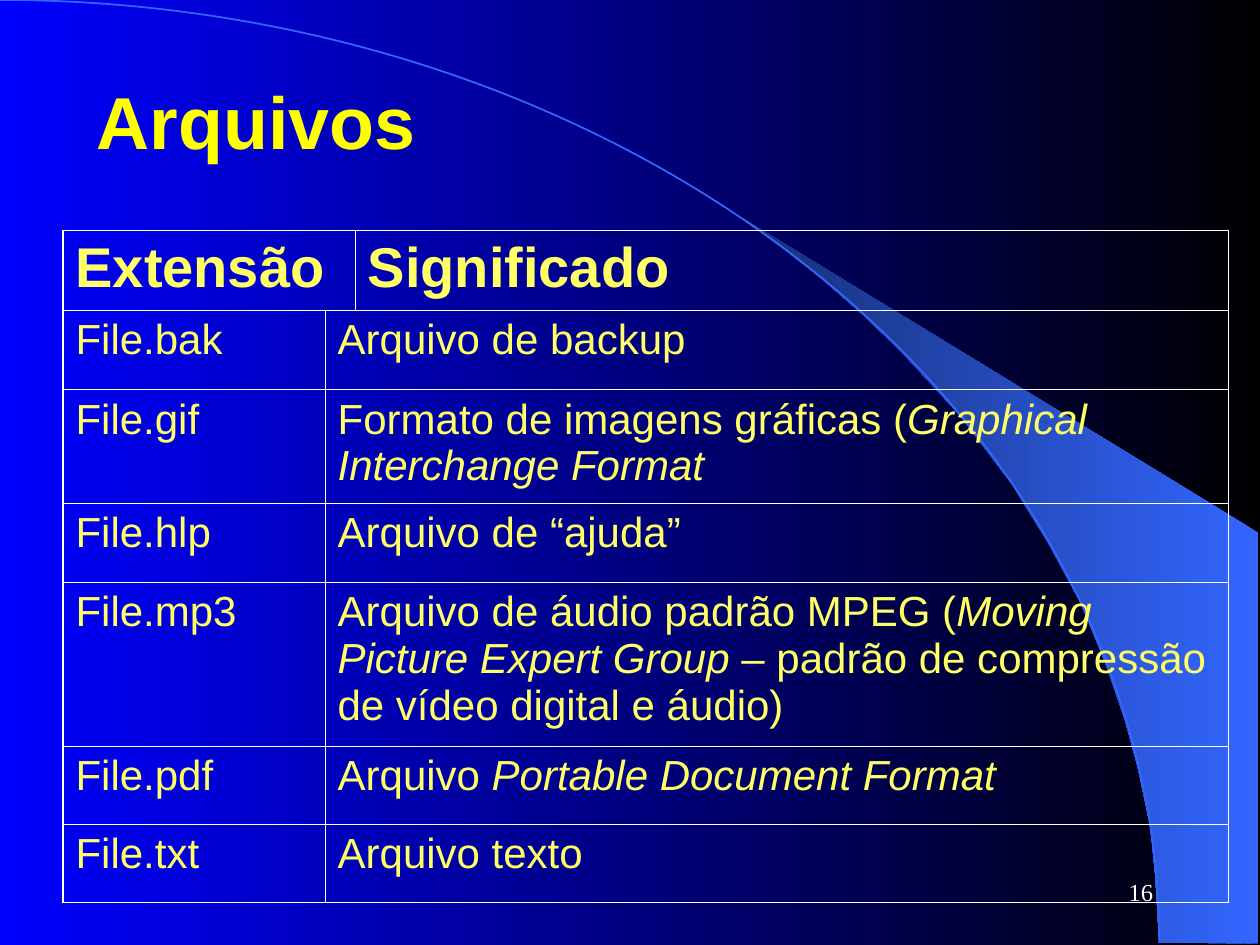
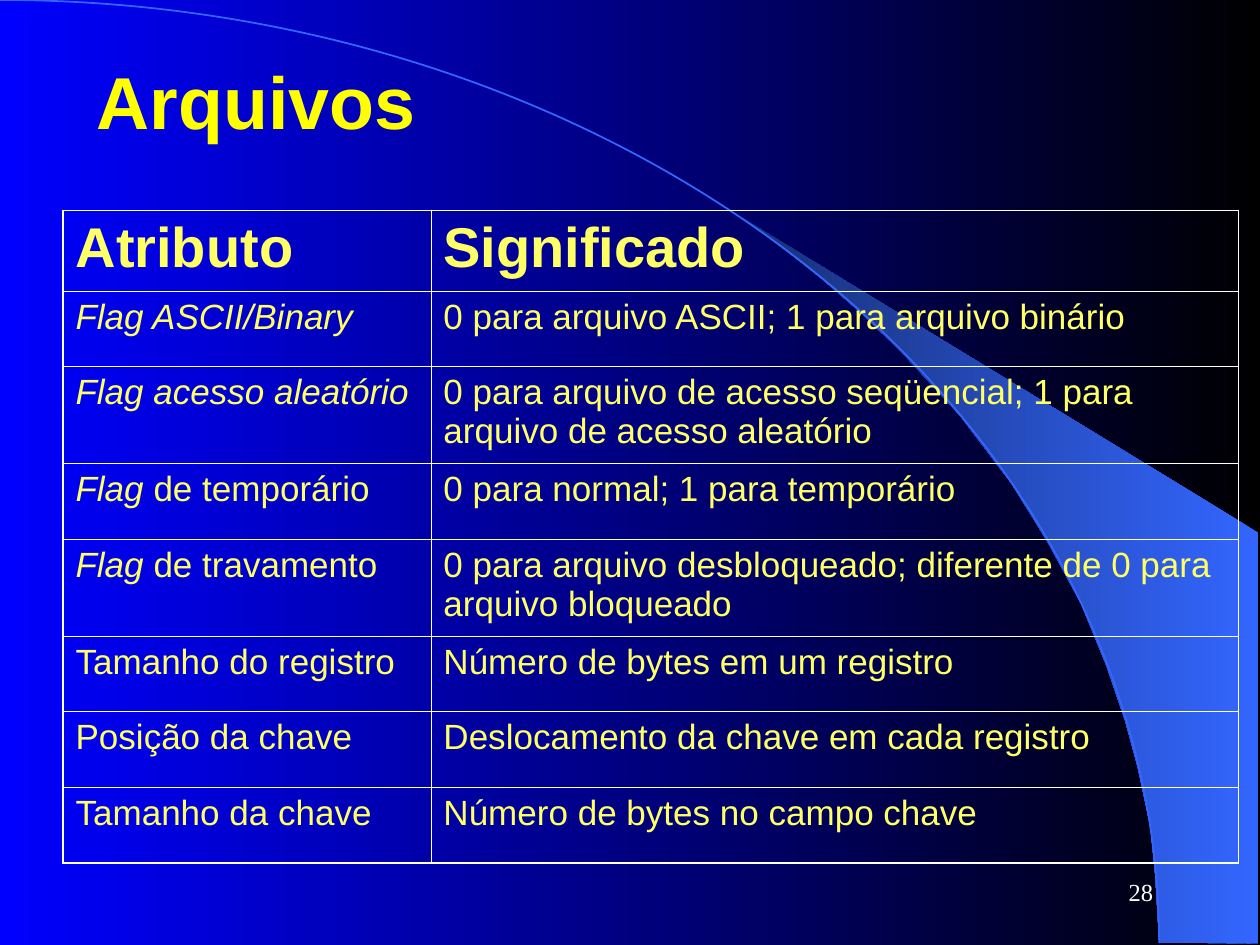
import pptx
import pptx.util
from lxml import etree
from pptx.dml.color import RGBColor
from pptx.enum.shapes import MSO_SHAPE
from pptx.enum.text import MSO_ANCHOR, PP_ALIGN
from pptx.oxml.ns import qn
from pptx.util import Inches

BLACK = RGBColor(0x00, 0x00, 0x00)
BLUE = RGBColor(0x00, 0x00, 0xFF)
SKY = RGBColor(0x33, 0x66, 0xFF)
NAVY = RGBColor(0x17, 0x2F, 0x75)
YELLOW = RGBColor(0xFF, 0xFF, 0x00)
PALE_YELLOW = RGBColor(0xFF, 0xFF, 0x66)
WHITE = RGBColor(0xFF, 0xFF, 0xFF)

OUTER, INNER = 1.08, 0.45  # table line widths in points

# Hundredths of an inch
CRESCENT = [
    (920, 748), (999, 749), (999, 423), (589, 173), (624, 199), (653, 222),
    (685, 250), (716, 280), (762, 330), (803, 384), (832, 431), (858, 479),
    (878, 528), (893, 572), (903, 609), (913, 656), (917, 696),
]

# Asterisks enclose italics; None continues the cell on its left.
EXTENSIONS = [
    ("Extensão", None, "Significado"),
    ("File.bak", "Arquivo de backup", None),
    ("File.gif", "Formato de imagens gráficas (*Graphical Interchange Format*", None),
    ("File.hlp", "Arquivo de “ajuda”", None),
    ("File.mp3", "Arquivo de áudio padrão MPEG (*Moving Picture Expert Group*"
                 " – padrão de compressão de vídeo digital e áudio)", None),
    ("File.pdf", "Arquivo *Portable Document Format*", None),
    ("File.txt", "Arquivo texto", None),
]
ATTRIBUTES = [
    ("Atributo", "Significado"),
    ("*Flag ASCII/Binary*", "0 para arquivo ASCII; 1 para arquivo binário"),
    ("*Flag acesso aleatório*",
     "0 para arquivo de acesso seqüencial; 1 para arquivo de acesso aleatório"),
    ("*Flag* de temporário", "0 para normal; 1 para temporário"),
    ("*Flag* de travamento",
     "0 para arquivo desbloqueado; diferente de 0 para arquivo bloqueado"),
    ("Tamanho do registro", "Número de bytes em um registro"),
    ("Posição da chave", "Deslocamento da chave em cada registro"),
    ("Tamanho da chave", "Número de bytes no campo chave"),
]


def set_gradient(fill, start, end):
    """Blend from start at the right to end at the left."""
    fill.gradient()
    fill.gradient_angle = 180
    for stop, color in zip(fill.gradient_stops, (start, end)):
        stop.color.rgb = color


def set_font(font, name, size, color, bold=False):
    font.name = name
    font.size = pptx.util.Pt(size)
    font.color.rgb = color
    font.bold = bold


def add_backdrop(s):
    set_gradient(s.background.fill, BLACK, BLUE)
    builder = s.shapes.build_freeform(*CRESCENT[0], scale=Inches(0.01))
    builder.add_line_segments(CRESCENT[1:], close=True)
    crescent = builder.convert_to_shape()
    crescent.shadow.inherit = False
    set_gradient(crescent.fill, SKY, NAVY)
    crescent.line.fill.background()

    arc = s.shapes.add_shape(MSO_SHAPE.ARC, Inches(-9.2), 0, Inches(18.4), Inches(14.97))
    arc.shadow.inherit = False
    arc.fill.background()
    arc.line.color.rgb = SKY
    arc.line.width = pptx.util.Pt(1)


def add_text(s, text, box, font, align=PP_ALIGN.LEFT):
    tf = s.shapes.add_textbox(*map(Inches, box)).text_frame
    tf.word_wrap = True
    tf.vertical_anchor = MSO_ANCHOR.MIDDLE
    tf.text = text
    p = tf.paragraphs[0]
    p.alignment = align
    set_font(p.runs[0].font, *font)


def set_borders(cell, widths):
    tc_pr = cell._tc.get_or_add_tcPr()
    for side, width in widths.items():
        ln = etree.SubElement(tc_pr, qn(f"a:ln{side}"), w=str(pptx.util.Pt(width)))
        fill = etree.SubElement(ln, qn("a:solidFill"))
        etree.SubElement(fill, qn("a:srgbClr"), val=str(WHITE))


def fill_cell(cell, text, size, bold):
    p = cell.text_frame.paragraphs[0]
    for i, part in enumerate(text.split("*")):
        if part:
            r = p.add_run()
            r.text = part
            set_font(r.font, "Arial", size, PALE_YELLOW, bold)
            r.font.italic = i % 2 == 1


def add_grid(s, top, rows, widths, heights, body_size):
    n_rows, n_cols = len(rows), len(widths)
    table = s.shapes.add_table(n_rows, n_cols, Inches(0.5), Inches(top),
                               Inches(sum(widths)), Inches(sum(heights))).table
    table.first_row = table.horz_banding = False
    for column, width in zip(table.columns, widths):
        column.width = Inches(width)
    for row, height in zip(table.rows, heights):
        row.height = Inches(height)
    for i, texts in enumerate(rows):
        for j, text in enumerate(texts):
            if text is None:
                table.cell(i, j - 1).merge(table.cell(i, j))
        for j, text in enumerate(texts):
            cell = table.cell(i, j)
            if text is not None:
                fill_cell(cell, text, body_size if i else 32, bold=i == 0)
                last_col = j + cell.span_width == n_cols
                set_borders(cell, {
                    "L": INNER if j else OUTER,
                    "R": OUTER if last_col else INNER,
                    "T": INNER if i else OUTER,
                    "B": OUTER if i == n_rows - 1 else INNER,
                })
            cell.fill.background()


def add_table_slide(prs, top, number, rows, widths, heights, body_size):
    s = prs.slides.add_slide(prs.slide_layouts[6])
    add_backdrop(s)
    add_text(s, "Arquivos", (0.67, top, 9, 1.25), ("Arial", 42, YELLOW, True))
    add_grid(s, top + 1.5, rows, widths, heights, body_size)
    add_text(s, str(number), (7.17, 6.83, 2.08, 0.5),
             ("Times New Roman", 14, WHITE), PP_ALIGN.RIGHT)


def main():
    prs = pptx.Presentation()
    prs.slide_width, prs.slide_height = Inches(10), Inches(7.5)
    add_table_slide(prs, 0.33, 16, EXTENSIONS, [2.08, 0.24, 6.93],
                    [0.63, 0.63, 0.9, 0.63, 1.3, 0.62, 0.62], body_size=24)
    add_table_slide(prs, 0.17, 28, ATTRIBUTES, [2.92, 6.41],
                    [0.64, 0.6, 0.77, 0.6, 0.77, 0.6, 0.6, 0.6], body_size=20)
    prs.save("out.pptx")


if __name__ == "__main__":
    main()
